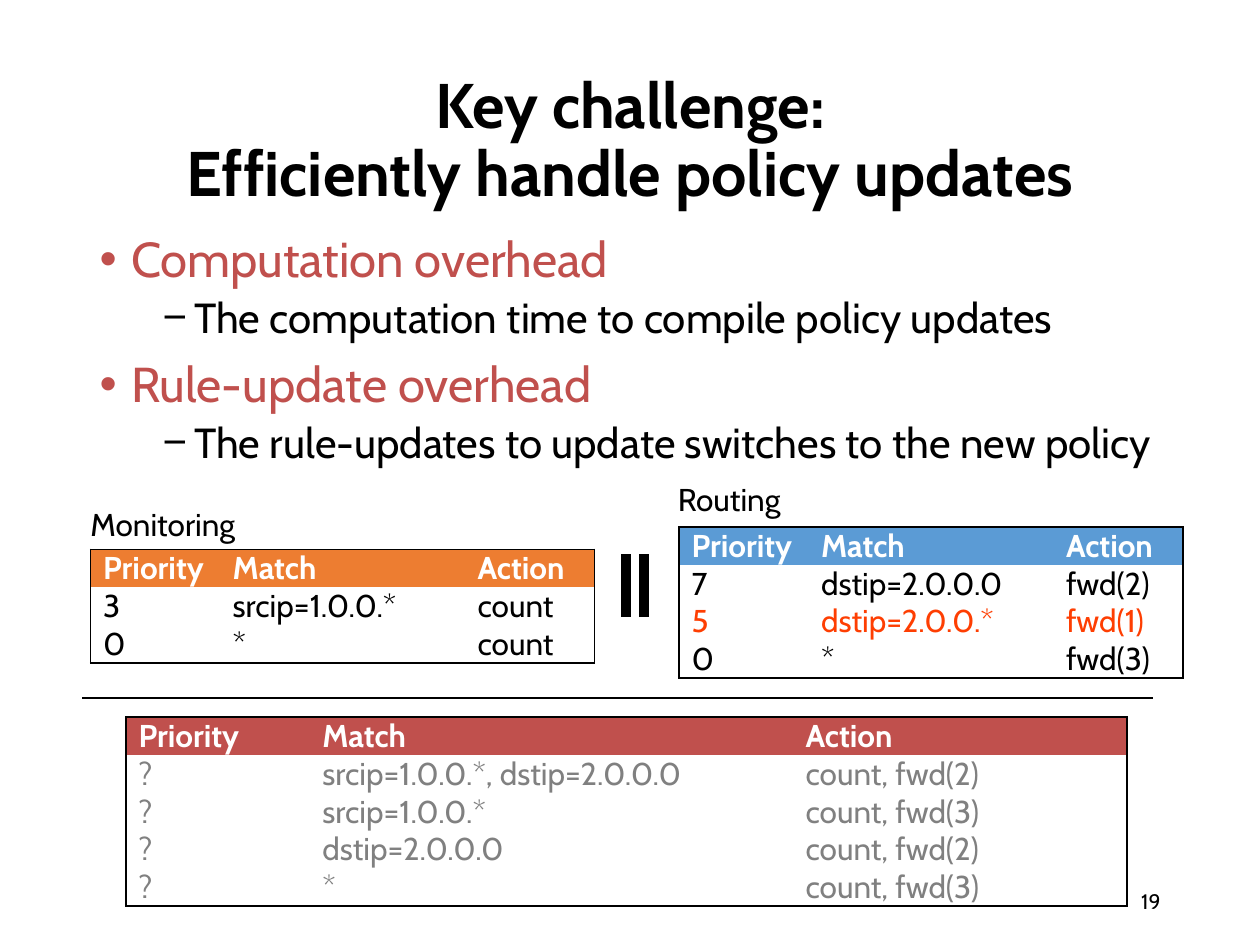
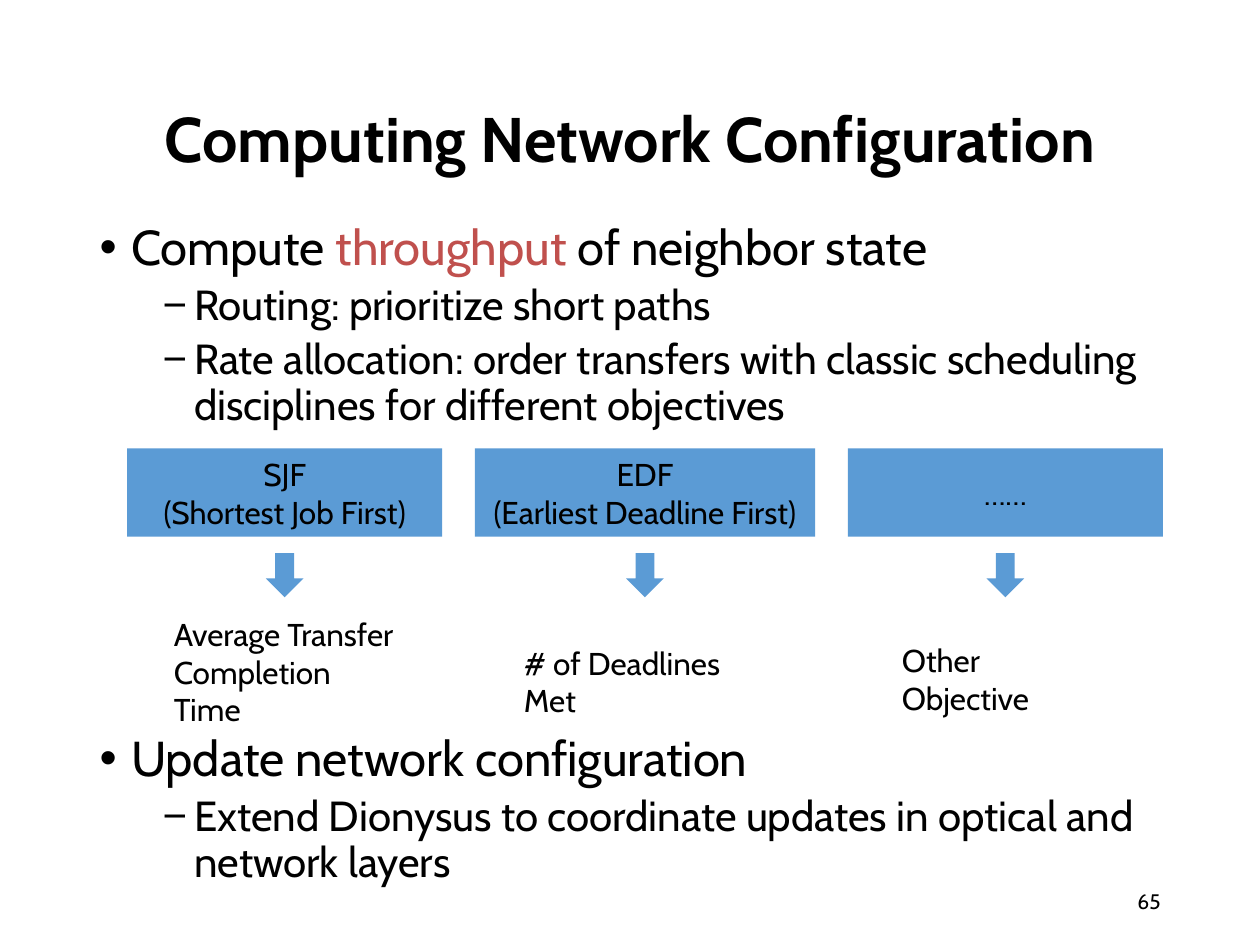
from pptx import Presentation
from pptx.dml.color import RGBColor as RGB
from pptx.enum.shapes import MSO_CONNECTOR as LINE, MSO_SHAPE as FORM
from pptx.enum.text import MSO_ANCHOR as ANCHOR, MSO_AUTO_SIZE as AUTO, PP_ALIGN as ALIGN
from pptx.oxml.ns import qn
from pptx.util import Pt
from lxml.etree import SubElement as Sub

# Shared look
HEX = {"ink": "000000", "paper": "FFFFFF", "red": "C0504D", "blue": "5B9BD5",
       "orange": "ED7D31", "hot": "FE3E02", "gray": "808080"}
FONT = "Cabin"
PLACE = ("left", "top", "width", "height")
TITLE = (49.7, 28.8, 620.6, 104.4)
FOOT = (508.3, 500.4, 162, 28.8)
LEVELS = [  # size, left margin, indent, space before, bullet
    {"size": 28, "left": 18, "hang": -18, "gap": 10, "mark": "•"},
    {"size": 24, "left": 54, "hang": -18, "gap": 5, "mark": "−"},
]
NO_STYLE = "{2D5ABB26-0587-4C30-8999-92F81FD0307C}"


def write(para, text, size=18, color="ink", bold=False):
    run = para.add_run()
    run.text = text
    look = {"name": FONT, "size": Pt(size), "bold": bold}
    for key, val in look.items():
        setattr(run.font, key, val)
    run.font.color.rgb = RGB.from_string(HEX[color])


def label(slide, box, lines, size=18, wrap=True, align=ALIGN.LEFT, anchor=ANCHOR.TOP):
    frame = slide.shapes.add_textbox(*map(Pt, box)).text_frame
    look = {"word_wrap": wrap, "vertical_anchor": anchor}
    for key, val in look.items():
        setattr(frame, key, val)
    for i, line in enumerate(lines):
        para = frame.add_paragraph() if i else frame.paragraphs[0]
        para.alignment = align
        write(para, line, size)


# Slide wording: a list item is (level, runs, extra space before)
PAGES = [
    {"title": ["Key challenge:", "Efficiently handle policy updates"],
     "number": "19", "body": (49.7, 131, 620.6, 342.7),
     "items": [
         (0, [("Computation overhead", "red")], 0),
         (1, [("The computation time to compile policy updates", "ink")], 0),
         (0, [("Rule-update overhead", "red")], 0),
         (1, [("The rule-updates to update switches to the new policy", "ink")], 0)]},
    {"title": ["Computing Network Configuration"],
     "number": "65", "body": (49.7, 123.8, 620.6, 396),
     "items": [
         (0, [("Compute ", "ink"), ("throughput", "red"), (" of neighbor state", "ink")], 0),
         (1, [("Routing: prioritize short paths", "ink")], 0),
         (1, [("Rate allocation: order transfers with classic scheduling "
               "disciplines for different objectives", "ink")], 0),
         (0, [("Update network configuration", "ink")], 164),
         (1, [("Extend Dionysus to coordinate updates in optical and "
               "network layers", "ink")], 0)]},
]

deck = Presentation()
deck.slide_width, deck.slide_height = Pt(720), Pt(540)
slides = []

# Titles, lists and page numbers
for page in PAGES:
    slide = deck.slides.add_slide(deck.slide_layouts[1])
    slides.append(slide)
    head, body = slide.shapes.title, slide.placeholders[1]
    for shape, box, anchor in ((head, TITLE, ANCHOR.MIDDLE),
                               (body, page["body"], ANCHOR.TOP)):
        for key, val in zip(PLACE, box):
            setattr(shape, key, Pt(val))
        look = {"word_wrap": True, "auto_size": AUTO.NONE, "vertical_anchor": anchor}
        for key, val in look.items():
            setattr(shape.text_frame, key, val)

    para = head.text_frame.paragraphs[0]
    para.alignment, para.line_spacing = ALIGN.CENTER, 0.9
    for i, line in enumerate(page["title"]):
        if i:
            para.add_line_break()
        write(para, line, 36, bold=True)

    for i, (level, runs, extra) in enumerate(page["items"]):
        frame = body.text_frame
        para = frame.add_paragraph() if i else frame.paragraphs[0]
        rule = LEVELS[level]
        look = {"level": level, "line_spacing": 0.9,
                "space_before": Pt(rule["gap"] + extra)}
        for key, val in look.items():
            setattr(para, key, val)
        props = para._p.get_or_add_pPr()
        props.set("marL", str(Pt(rule["left"])))
        props.set("indent", str(Pt(rule["hang"])))
        Sub(props, qn("a:buChar"), char=rule["mark"])
        for text, color in runs:
            write(para, text, rule["size"], color)

    label(slide, FOOT, [page["number"]], 12, align=ALIGN.RIGHT, anchor=ANCHOR.MIDDLE)

# Slide 1: rule tables
first, second = slides
HEADS = ("Priority", "Match", "Action")
ROW = 21.6
TABLES = [  # left, top, column widths, header colour, rows ending in text colour
    (51.8, 313.9, (74, 140, 74), "orange", [
        ("3", "srcip=1.0.0.*", "count", "ink"),
        ("0", "*", "count", "ink")]),
    (388, 301, (74, 140, 74), "blue", [
        ("7", "dstip=2.0.0.0", "fwd(2)", "ink"),
        ("5", "dstip=2.0.0.*", "fwd(1)", "hot"),
        ("0", "*", "fwd(3)", "ink")]),
    (72, 409.7, (105, 276.2, 190.8), "red", [
        ("?", "srcip=1.0.0.*, dstip=2.0.0.0", "count, fwd(2)", "gray"),
        ("?", "srcip=1.0.0.*", "count, fwd(3)", "gray"),
        ("?", "dstip=2.0.0.0", "count, fwd(2)", "gray"),
        ("?", "*", "count, fwd(3)", "gray")]),
]
for left, top, widths, tint, rows in TABLES:
    rows = [(*HEADS, "paper")] + rows
    last = len(rows) - 1
    table = first.shapes.add_table(len(rows), 3, Pt(left), Pt(top),
                                   Pt(sum(widths)), Pt(ROW * len(rows))).table
    table._tbl.tblPr.find(qn("a:tableStyleId")).text = NO_STYLE
    for col, width in zip(table.columns, widths):
        col.width = Pt(width)
    for r, (*texts, color) in enumerate(rows):
        table.rows[r].height = Pt(ROW)
        for c, text in enumerate(texts):
            cell = table.cell(r, c)
            look = {"margin_left": Pt(7.2), "margin_right": Pt(7.2),
                    "margin_top": 0, "margin_bottom": 0}
            for key, val in look.items():
                setattr(cell, key, val)
            write(cell.text_frame.paragraphs[0], text, color=color, bold=r == 0)
            # Frame the outside of the table only
            props = cell._tc.get_or_add_tcPr()
            edges = {"a:lnL": c == 0, "a:lnR": c == 2, "a:lnT": r == 0, "a:lnB": r == last}
            for tag, edge in edges.items():
                if edge:
                    fill = Sub(Sub(props, qn(tag), w=str(Pt(1))), qn("a:solidFill"))
                    Sub(fill, qn("a:srgbClr"), val=HEX["ink"])
            if r == 0:
                cell.fill.solid()
                cell.fill.fore_color.rgb = RGB.from_string(HEX[tint])
            else:
                cell.fill.background()

label(first, (44.6, 285.1, 98.6, 28.8), ["Monitoring"], wrap=False)
label(first, (380.2, 270.7, 73.4, 28.8), ["Routing"], wrap=False)

# Slide 1: parallel bars and divider
bars = first.shapes.add_group_shape()
LINES = [(bars, (357.8, 316.8, 357.8, 352.8), 6),
         (bars, (367.9, 316.8, 367.9, 352.8), 6),
         (first, (658.8, 398.9, 46.8, 398.9), 1.5)]
for home, ends, width in LINES:
    line = home.shapes.add_connector(LINE.STRAIGHT, *map(Pt, ends))
    line.line.width = Pt(width)
    line.line.color.rgb = RGB.from_string(HEX["ink"])
    Sub(line._element.spPr, qn("a:effectLst"))

# Slide 2: scheduling disciplines, arrows and objectives
MID, STEP = 162.7, 205.9
PLANS = [  # box width, box text, objective place, objective text
    (180, ["SJF", "(Shortest Job First)"],
     (92.2, 347.8, 143.3, 51.1), ["Average Transfer", "Completion Time"]),
    (194.4, ["EDF", "(Earliest Deadline First)"],
     (292.3, 364.3, 143.3, 28.8), ["# of Deadlines Met"]),
    (180, ["……"], (508.3, 362.9, 134.6, 28.8), ["Other Objective"]),
]
for i, (width, names, spot, goal) in enumerate(PLANS):
    mid = MID + i * STEP
    parts = [(FORM.RECTANGLE, 256.3, width, 50.4, names),
             (FORM.DOWN_ARROW, 316.1, 21.6, 25.2, [])]
    for form, top, wide, high, lines in parts:
        shape = second.shapes.add_shape(form, Pt(mid - wide / 2), Pt(top), Pt(wide), Pt(high))
        shape.shadow.inherit = False
        shape.fill.solid()
        shape.fill.fore_color.rgb = RGB.from_string(HEX["blue"])
        shape.line.fill.background()
        frame = shape.text_frame
        frame.vertical_anchor = ANCHOR.MIDDLE
        for n, text in enumerate(lines):
            para = frame.add_paragraph() if n else frame.paragraphs[0]
            para.alignment = ALIGN.CENTER
            write(para, text)
    label(second, spot, goal)

deck.save("out.pptx")
